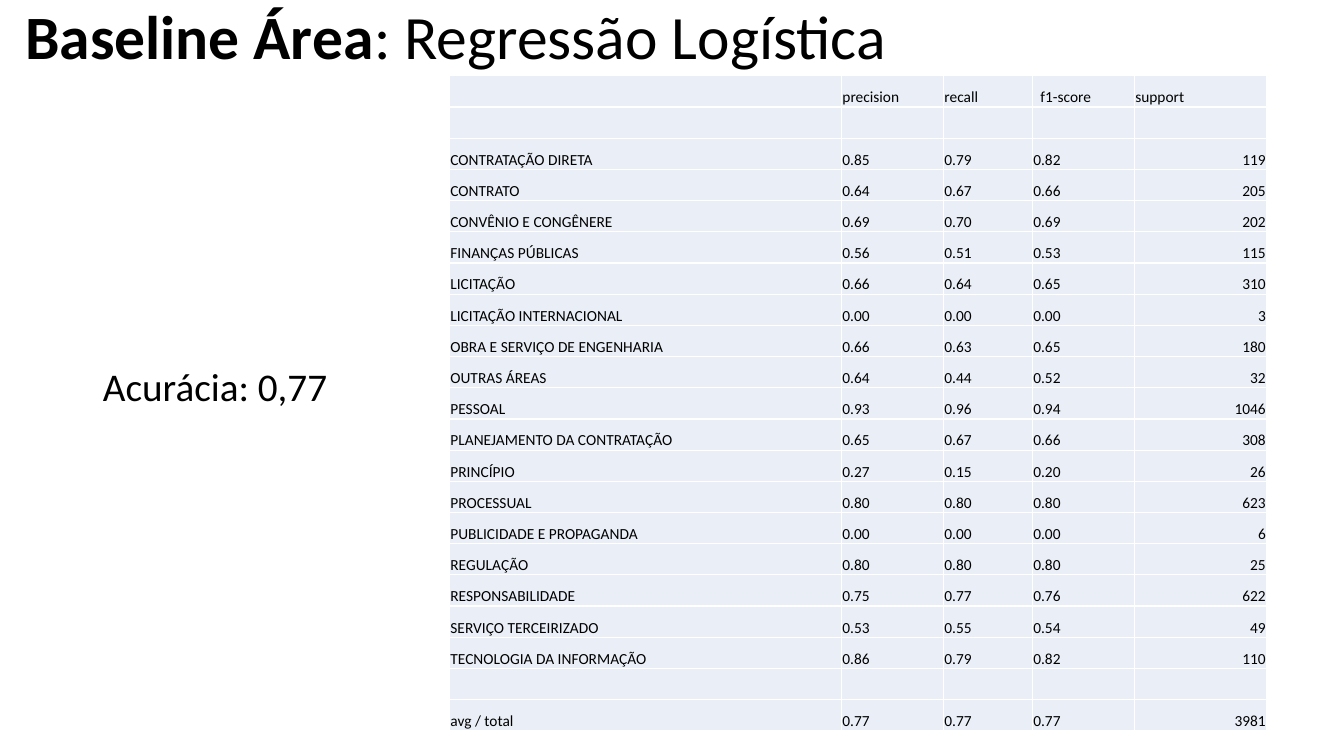
"""Build a slide with the scores of a logistic regression baseline."""
import pptx
import pptx.dml.color
import pptx.enum.text
import pptx.oxml.ns
import pptx.util
from lxml import etree
from pptx.util import Cm

BLACK = "000000"
PALE = "EAEFF7"
WIDTHS = [9.88, 2.57, 2.24, 2.57, 3.33]
HEIGHT = 16.51
HEADS = ["", "precision", "recall", "f1-score", "support"]
BLANK = [""] * len(HEADS)
SCORES = [
    ["CONTRATAÇÃO DIRETA", "0.85", "0.79", "0.82", "119"],
    ["CONTRATO", "0.64", "0.67", "0.66", "205"],
    ["CONVÊNIO E CONGÊNERE", "0.69", "0.70", "0.69", "202"],
    ["FINANÇAS PÚBLICAS", "0.56", "0.51", "0.53", "115"],
    ["LICITAÇÃO", "0.66", "0.64", "0.65", "310"],
    ["LICITAÇÃO INTERNACIONAL", "0.00", "0.00", "0.00", "3"],
    ["OBRA E SERVIÇO DE ENGENHARIA", "0.66", "0.63", "0.65", "180"],
    ["OUTRAS ÁREAS", "0.64", "0.44", "0.52", "32"],
    ["PESSOAL", "0.93", "0.96", "0.94", "1046"],
    ["PLANEJAMENTO DA CONTRATAÇÃO", "0.65", "0.67", "0.66", "308"],
    ["PRINCÍPIO", "0.27", "0.15", "0.20", "26"],
    ["PROCESSUAL", "0.80", "0.80", "0.80", "623"],
    ["PUBLICIDADE E PROPAGANDA", "0.00", "0.00", "0.00", "6"],
    ["REGULAÇÃO", "0.80", "0.80", "0.80", "25"],
    ["RESPONSABILIDADE", "0.75", "0.77", "0.76", "622"],
    ["SERVIÇO TERCEIRIZADO", "0.53", "0.55", "0.54", "49"],
    ["TECNOLOGIA DA INFORMAÇÃO", "0.86", "0.79", "0.82", "110"],
]
TOTAL = ["avg / total", "0.77", "0.77", "0.77", "3981"]
ROWS = [HEADS, BLANK, *SCORES, BLANK, TOTAL]


def color(code):
    """Turn a hex string into a colour."""
    return pptx.dml.color.RGBColor.from_string(code)


def style(run, size, bold=False):
    """Give a run its font."""
    run.font.name = "Calibri"
    run.font.size = pptx.util.Pt(size)
    run.font.bold = bold
    run.font.color.rgb = color(BLACK)


def place(shape, left, top, width, height):
    """Move a placeholder and keep its text size fixed."""
    shape.left, shape.top = Cm(left), Cm(top)
    shape.width, shape.height = Cm(width), Cm(height)
    shape.text_frame.word_wrap = True
    shape.text_frame.auto_size = pptx.enum.text.MSO_AUTO_SIZE.NONE


def add_title(slide, lead, rest):
    """Fill the title with a bold lead and a plain rest."""
    title = slide.shapes.title
    place(title, 0.38, -0.84, 29.21, 3.68)
    title.text_frame.vertical_anchor = pptx.enum.text.MSO_ANCHOR.MIDDLE
    title.text_frame.text = lead
    line = title.text_frame.paragraphs[0]
    line.alignment = pptx.enum.text.PP_ALIGN.LEFT
    line.line_spacing = 0.9
    style(line.runs[0], 44, True)
    tail = line.add_run()
    tail.text = rest
    style(tail, 44)


def add_body(slide, text):
    """Fill the body with one line that has no bullet."""
    body = slide.placeholders[1]
    place(body, 2.34, 9.14, 8.99, 1.5)
    body.text_frame.text = text
    line = body.text_frame.paragraphs[0]
    line.line_spacing = 0.9
    line.space_before = pptx.util.Pt(10)
    props = line._p.get_or_add_pPr()
    props.set("marL", "0")
    props.set("indent", "0")
    etree.SubElement(props, pptx.oxml.ns.qn("a:buNone"))
    style(line.runs[0], 28)


def fill_cell(cell, text, right, inset):
    """Write one table cell, with a small font even when it is empty."""
    cell.fill.solid()
    cell.fill.fore_color.rgb = color(PALE)
    cell.vertical_anchor = pptx.enum.text.MSO_ANCHOR.BOTTOM
    cell.margin_left = Cm(inset)
    cell.margin_right = cell.margin_top = Cm(0.02)
    cell.margin_bottom = Cm(0)
    cell.text_frame.text = text
    line = cell.text_frame.paragraphs[0]
    if right:
        line.alignment = pptx.enum.text.PP_ALIGN.RIGHT
    for run in line.runs:
        style(run, 11)
    if not text:
        etree.SubElement(line._p, pptx.oxml.ns.qn("a:endParaRPr"), sz="1100")


def add_scores(slide):
    """Add the table of scores."""
    frame = slide.shapes.add_table(
        len(ROWS), len(HEADS), Cm(11.33), Cm(1.91), Cm(sum(WIDTHS)), Cm(HEIGHT))
    table = frame.table
    table.first_row = table.horz_banding = False
    for col, width in zip(table.columns, WIDTHS):
        col.width = Cm(width)
    for row in table.rows:
        row.height = Cm(HEIGHT / len(ROWS))
    for r, texts in enumerate(ROWS):
        for c, text in enumerate(texts):
            right = r > 0 and c == len(HEADS) - 1
            inset = 0.2 if text == "f1-score" else 0.02
            fill_cell(table.cell(r, c), text, right, inset)


def main():
    """Build and save the slide."""
    deck = pptx.Presentation()
    deck.slide_width, deck.slide_height = Cm(33.87), Cm(19.05)
    slide = deck.slides.add_slide(deck.slide_layouts[1])
    add_title(slide, "Baseline Área", ": Regressão Logística")
    add_body(slide, "Acurácia: 0,77")
    add_scores(slide)
    deck.save("out.pptx")


if __name__ == "__main__":
    main()
